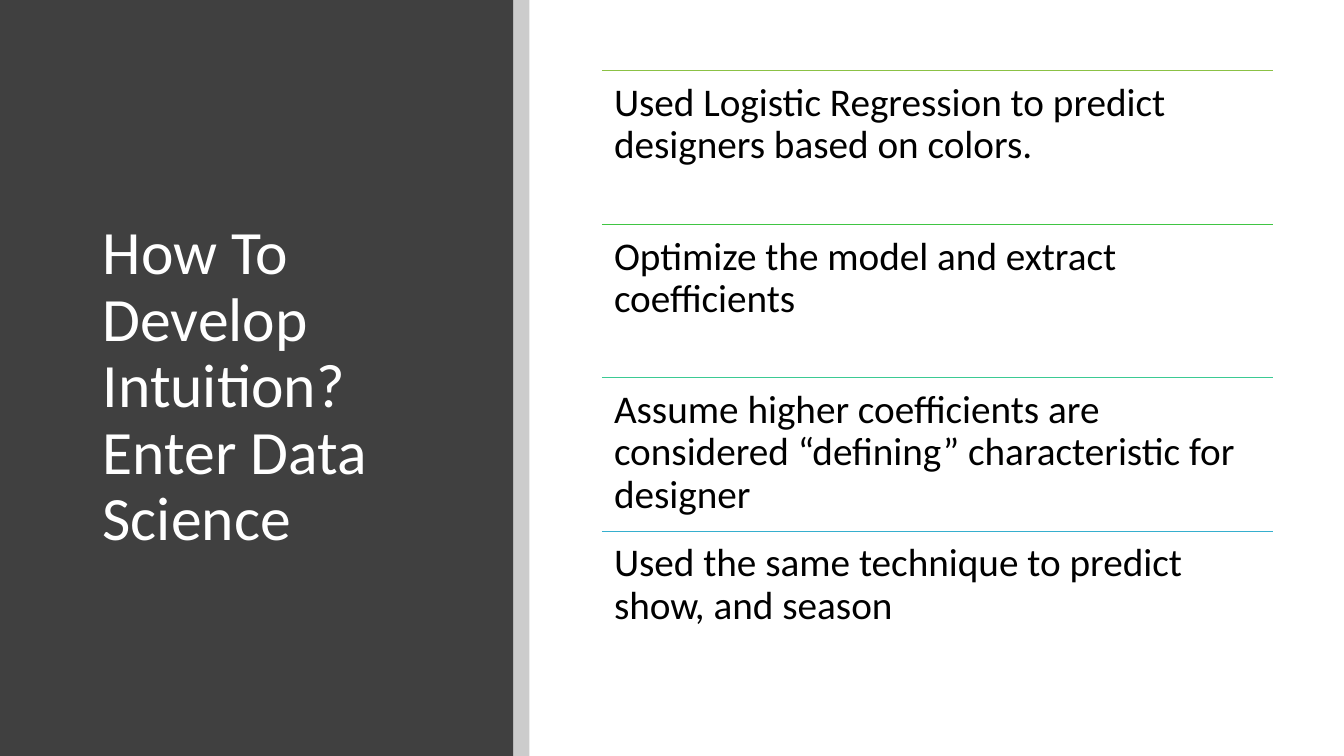
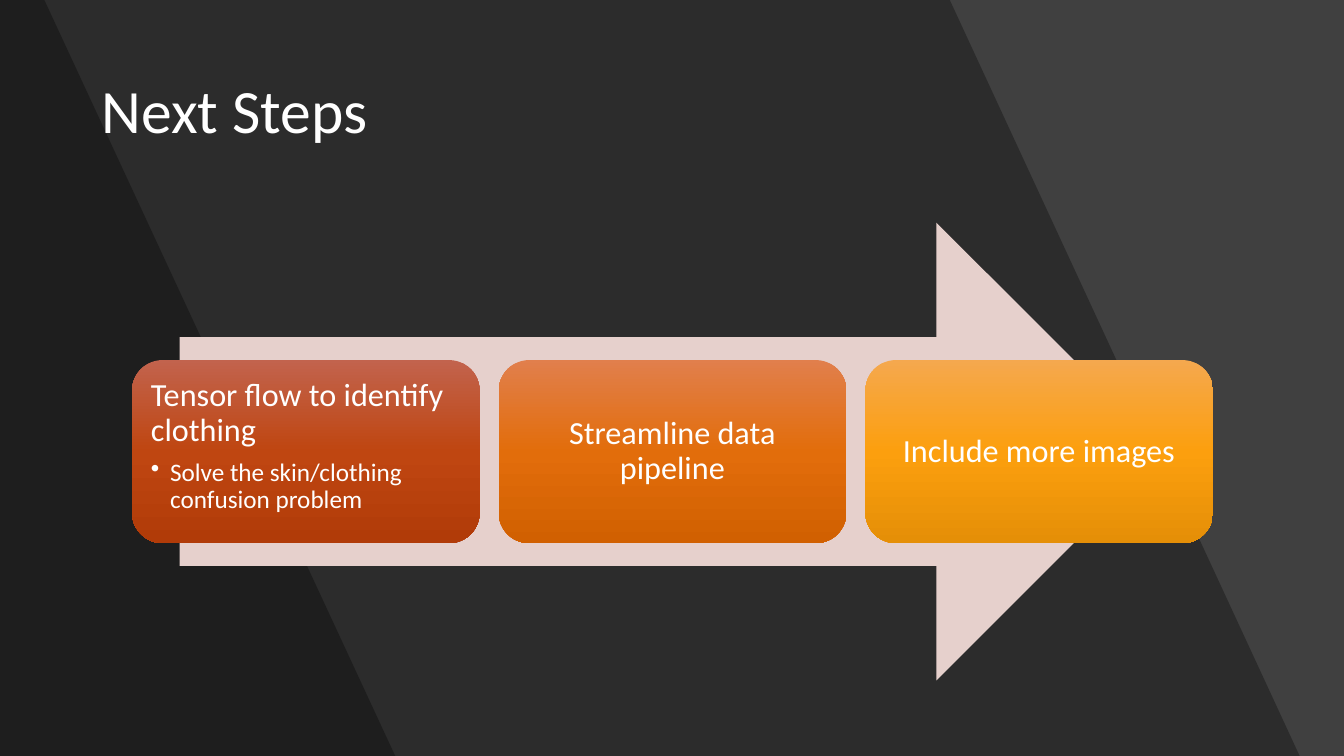
from copy import deepcopy

from pptx import Presentation
from pptx.dml.color import RGBColor
from pptx.enum.shapes import MSO_CONNECTOR as Connector, MSO_SHAPE as Preset
from pptx.enum.text import MSO_ANCHOR as Anchor, PP_ALIGN as Align
from pptx.oxml.ns import qn
from pptx.util import Inches, Pt

FONT = "Calibri"
WHITE, BLACK, CHARCOAL, ARROW = "FFFFFF", "000000", "404040", "E6D0CC"
SLIDE_W, SLIDE_H = 13.33, 7.5

METHOD_TITLE = "How To Develop Intuition? Enter Data Science"
METHOD = [
    ("8BC145", "Used Logistic Regression to predict designers based on colors."),
    ("40C543", "Optimize the model and extract coefficients"),
    ("3BCA93", "Assume higher coefficients are considered “defining” characteristic for designer"),
    ("36AFCE", "Used the same technique to predict show, and season"),
]
NEXT_STEPS = [
    (("C2634D", "BF4611", "B13B08"), "Tensor flow to identify clothing",
     "Solve the skin/clothing confusion problem"),
    (("E17F4C", "E26D0B", "D16001"), "Streamline data pipeline", None),
    (("F5A84E", "FC9F0E", "E58F07"), "Include more images", None),
]


def rgb(color):
    """Turn a hex string into a colour."""
    return RGBColor.from_string(color)


def paint(shape, color, opacity=100):
    """Give a shape a flat fill, without line or shadow."""
    shape.shadow.inherit = False
    shape.line.fill.background()
    shape.fill.solid()
    shape.fill.fore_color.rgb = rgb(color)
    if opacity < 100:
        value = shape._element.spPr.find(f".//{qn('a:srgbClr')}")
        alpha = value.makeelement(qn("a:alpha"), {"val": str(opacity * 1000)})
        value.append(alpha)


def shade(shape, colors):
    """Give a shape a three-colour gradient from top to bottom."""
    shape.shadow.inherit = False
    shape.line.fill.background()
    shape.fill.gradient()
    shape.fill.gradient_angle = 270
    stops = shape._element.spPr.find(f".//{qn('a:gsLst')}")
    stops.insert(1, deepcopy(stops[0]))
    for stop, color, position in zip(shape.fill.gradient_stops, colors, (0, 0.5, 1)):
        stop.color.rgb = rgb(color)
        stop.position = position


def add_block(slide, preset, box, color, opacity=100):
    """Add a flat preset shape in a box."""
    block = slide.shapes.add_shape(preset, *map(Inches, box))
    paint(block, color, opacity)
    return block


def set_frame(frame, anchor, inset):
    """Wrap a text frame, anchor it and give it equal insets."""
    frame.word_wrap = True
    frame.vertical_anchor = anchor
    frame.margin_left = frame.margin_right = Inches(inset)
    frame.margin_top = frame.margin_bottom = Inches(inset)


def write(paragraph, text, size, color, align=Align.LEFT, after=0):
    """Fill a paragraph and set its type."""
    paragraph.text = text
    paragraph.alignment = align
    paragraph.line_spacing = 0.9
    paragraph.space_after = Pt(after)
    paragraph.font.name = FONT
    paragraph.font.size = Pt(size)
    paragraph.font.color.rgb = rgb(color)


def add_bullet(paragraph, indent):
    """Hang a bullet in front of a paragraph."""
    properties = paragraph._p.get_or_add_pPr()
    properties.set("marL", str(Inches(indent)))
    properties.set("indent", str(-Inches(indent)))
    properties.append(properties.makeelement(qn("a:buChar"), {"char": "•"}))


def add_text(slide, box, text, size, color, anchor=Anchor.TOP, inset=0.1):
    """Add a text box of one paragraph."""
    frame = slide.shapes.add_textbox(*map(Inches, box)).text_frame
    set_frame(frame, anchor, inset)
    write(frame.paragraphs[0], text, size, color)


def add_title(slide, box, text):
    """Add the white title in the shared style."""
    add_text(slide, box, text, 44, WHITE, Anchor.MIDDLE)


def add_rule(slide, left, top, width, color):
    """Add a thin horizontal line."""
    rule = slide.shapes.add_connector(
        Connector.STRAIGHT, *map(Inches, (left, top, left + width, top)))
    rule.line.color.rgb = rgb(color)
    rule.line.width = Pt(0.5)
    properties = rule._element.spPr
    properties.append(properties.makeelement(qn("a:effectLst"), {}))


def add_ruled_list(slide, box, items):
    """Stack texts in equal rows, each under a coloured line."""
    left, top, width, height = box
    row_height = height / len(items)
    for index, (color, text) in enumerate(items):
        row_top = top + index * row_height
        add_rule(slide, left, row_top, width, color)
        add_text(slide, (left, row_top, width, row_height), text, 28, BLACK, inset=0.12)


def add_slanted_band(slide, top_width, bottom_width):
    """Darken the left of the slide up to a slanted edge."""
    builder = slide.shapes.build_freeform(0, 0, scale=1.0)
    corners = [(top_width, 0), (bottom_width, SLIDE_H), (0, SLIDE_H)]
    builder.add_line_segments([(Inches(x), Inches(y)) for x, y in corners])
    paint(builder.convert_to_shape(), BLACK, 30)


def add_step(slide, box, colors, text, detail):
    """Add a rounded card with a step and its optional detail."""
    card = slide.shapes.add_shape(Preset.ROUNDED_RECTANGLE, *map(Inches, box))
    shade(card, colors)
    frame = card.text_frame
    set_frame(frame, Anchor.TOP if detail else Anchor.MIDDLE, 0.1)
    step = frame.paragraphs[0]
    if detail:
        write(step, text, 23, WHITE, after=8)
        point = frame.add_paragraph()
        add_bullet(point, 0.19)
        write(point, detail, 18, WHITE)
    else:
        write(step, text, 23, WHITE, Align.CENTER)


def add_process(slide, box, steps):
    """Add a broad arrow with a row of step cards across it."""
    left, top, width, height = box
    arrow_width = 0.85 * 11.5
    arrow_left = left + (width - arrow_width) / 2
    add_block(slide, Preset.RIGHT_ARROW, (arrow_left, top, arrow_width, height), ARROW)
    gap, card_height = 0.19, 0.4 * height
    card_width = (width - gap * (len(steps) - 1)) / len(steps)
    card_top = top + (height - card_height) / 2
    for index, step in enumerate(steps):
        card_left = left + index * (card_width + gap)
        add_step(slide, (card_left, card_top, card_width, card_height), *step)


def new_slide(deck, background):
    """Add a blank slide with a plain background."""
    slide = deck.slides.add_slide(deck.slide_layouts[6])
    slide.background.fill.solid()
    slide.background.fill.fore_color.rgb = rgb(background)
    return slide


def build_method_slide(deck):
    """Build the slide with a title panel and a ruled list."""
    slide = new_slide(deck, WHITE)
    panel_width = 5.09
    add_block(slide, Preset.RECTANGLE, (0, 0, panel_width, SLIDE_H), CHARCOAL)
    add_title(slide, (0.92, 0.89, 3.65, 5.91), METHOD_TITLE)
    add_block(slide, Preset.RECTANGLE, (panel_width, 0, 0.16, SLIDE_H), BLACK, 20)
    add_ruled_list(slide, (5.97, 0.7, 6.66, 6.09), METHOD)


def build_next_steps_slide(deck):
    """Build the dark slide with the process arrow."""
    slide = new_slide(deck, CHARCOAL)
    add_slanted_band(slide, 9.42, 12.89)
    add_slanted_band(slide, 0.44, 3.92)
    add_title(slide, (0.91, 0.4, 11.51, 1.45), "Next Steps")
    add_process(slide, (1.31, 2.21, 10.72, 4.54), NEXT_STEPS)


def main():
    """Build and save the presentation."""
    deck = Presentation()
    deck.slide_width, deck.slide_height = Inches(SLIDE_W), Inches(SLIDE_H)
    build_method_slide(deck)
    build_next_steps_slide(deck)
    deck.save("out.pptx")


if __name__ == "__main__":
    main()
